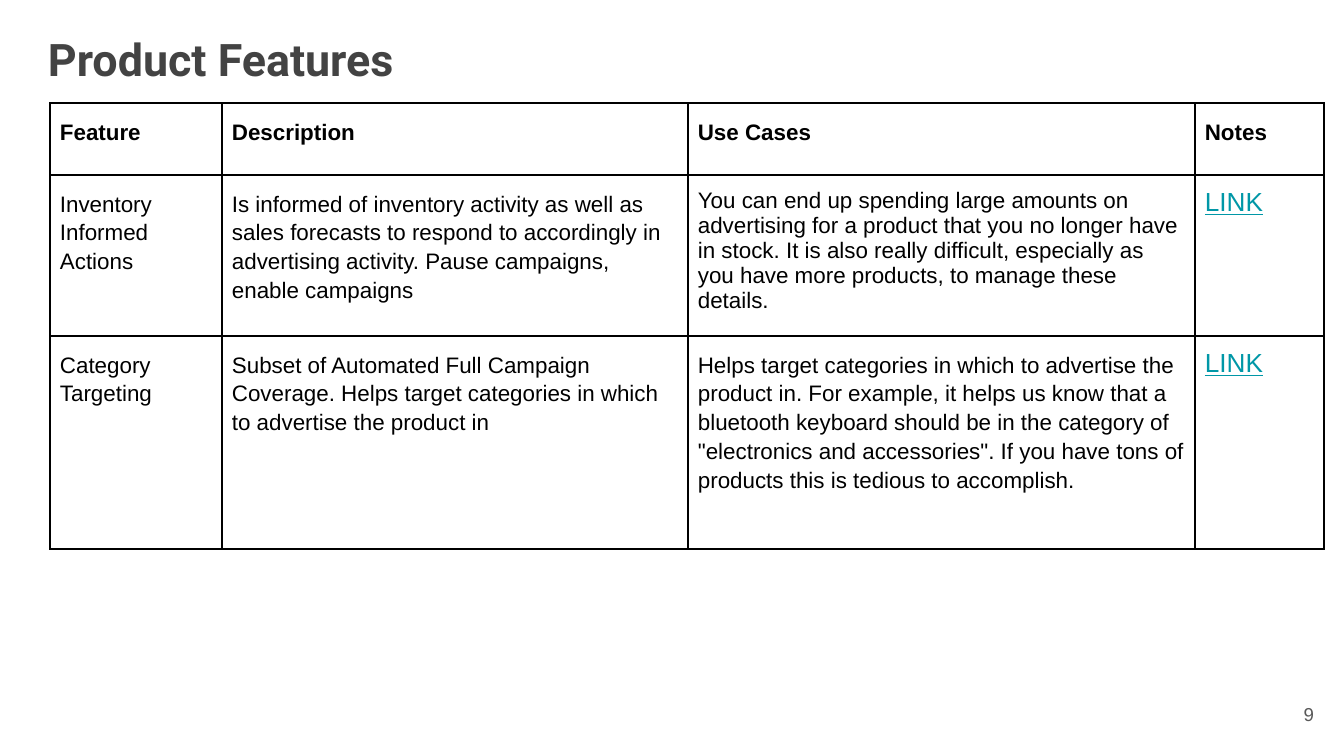
from lxml.etree import SubElement as Sub
from pptx import Presentation
from pptx.dml.color import RGBColor as Rgb
from pptx.enum.text import MSO_ANCHOR as Anchor, MSO_AUTO_SIZE as Fit, PP_ALIGN as Align
from pptx.oxml.ns import qn
from pptx.util import Pt

SCALE = 914400 / 134.4
COLS = (172, 466, 507, 129)
ROWS = (72, 161, 213)
HEAD = {"size": Pt(12), "name": "Arial", "bold": True}
BODY = {**HEAD, "bold": False}
LINK = {**BODY, "size": Pt(14), "underline": True}
CELLS = (
    ("Feature", "Description", "Use Cases", "Notes"),
    (
        "Inventory Informed Actions",
        "Is informed of inventory activity as well as sales forecasts to respond to "
        "accordingly in advertising activity. Pause campaigns, enable campaigns",
        "You can end up spending large amounts on advertising for a product that you "
        "no longer have in stock. It is also really difficult, especially as you have "
        "more products, to manage these details.",
        "LINK",
    ),
    (
        "Category Targeting",
        "Subset of Automated Full Campaign Coverage. Helps target categories in which "
        "to advertise the product in",
        "Helps target categories in which to advertise the product in. For example, it "
        "helps us know that a bluetooth keyboard should be in the category of "
        "\"electronics and accessories\". If you have tons of products this is tedious "
        "to accomplish.",
        "LINK",
    ),
)


def px(num):
    return round(num * SCALE)


def color(text):
    return Rgb.from_string(text)


def apply(item, form):
    for key, value in form.items():
        setattr(item, key, value)


def write(frame, text, font, tint, para):
    line = frame.paragraphs[0]
    run = line.add_run()
    run.text = text
    apply(line, para)
    apply(run.font, font)
    run.font.color.rgb = color(tint)


def add_text(slide, rect, text, font, tint, para, form):
    frame = slide.shapes.add_textbox(*map(px, rect)).text_frame
    sides = ("left", "right", "top", "bottom")
    apply(frame, {f"margin_{side}": px(13) for side in sides})
    apply(frame, {"word_wrap": True, **form})
    write(frame, text, font, tint, para)


def add_edges(cell):
    props = cell._tc.get_or_add_tcPr()
    for side in "LRTB":
        edge = Sub(props, qn(f"a:ln{side}"), w=str(Pt(1)))
        fill = Sub(edge, qn("a:solidFill"))
        Sub(fill, qn("a:srgbClr"), val="000000")


def fill_cell(cell, text, row, col):
    pad = {"margin_left": 10, "margin_right": 10, "margin_top": 13, "margin_bottom": 13}
    apply(cell, {key: px(num) for key, num in pad.items()})
    add_edges(cell)
    cell.fill.background()
    link = row > 0 and col == 3
    font = LINK if link else BODY if row else HEAD
    tight = link or (row, col) == (1, 2)
    para = {"line_spacing": 1.0 if tight else 1.15}
    write(cell.text_frame, text, font, "0097A7" if link else "000000", para)


def add_grid(slide):
    rect = (50, 103, sum(COLS), sum(ROWS))
    grid = slide.shapes.add_table(len(ROWS), len(COLS), *map(px, rect)).table
    apply(grid, {"first_row": False, "horz_banding": False})
    for col, width in zip(grid.columns, COLS):
        col.width = px(width)
    for row, height in zip(grid.rows, ROWS):
        row.height = px(height)
    for row, texts in enumerate(CELLS):
        for col, text in enumerate(texts):
            fill_cell(grid.cell(row, col), text, row, col)


def main():
    deck = Presentation()
    apply(deck, {"slide_width": px(1344), "slide_height": px(756)})
    slide = deck.slides.add_slide(deck.slide_layouts[6])
    title = {"size": Pt(24), "name": "Roboto", "bold": True}
    add_text(slide, (35, 11, 1274, 82), "Product Features", title, "434343",
             {"line_spacing": 1.15}, {"auto_size": Fit.SHAPE_TO_FIT_TEXT})
    add_text(slide, (1246, 685, 81, 58), "9", {"size": Pt(10), "name": "Arial"}, "595959",
             {"alignment": Align.RIGHT}, {"vertical_anchor": Anchor.MIDDLE})
    add_grid(slide)
    deck.save("out.pptx")


if __name__ == "__main__":
    main()
